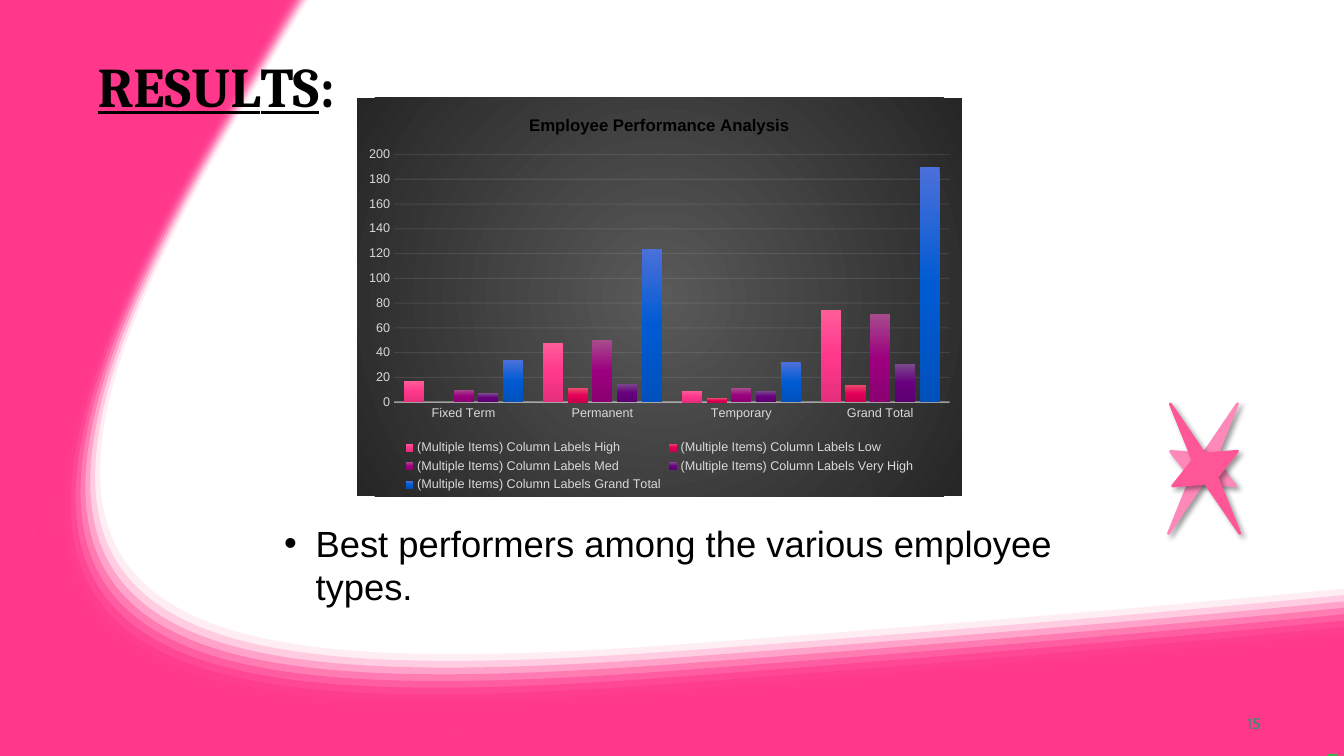
from pptx import Presentation
from pptx.chart.data import CategoryChartData
from pptx.dml.color import RGBColor
from pptx.enum.chart import XL_CHART_TYPE, XL_LEGEND_POSITION, XL_TICK_MARK
from pptx.enum.shapes import MSO_SHAPE
from pptx.enum.text import MSO_ANCHOR
from pptx.oxml import parse_xml
from pptx.oxml.ns import nsdecls, qn
from pptx.util import Pt

COLUMN = XL_CHART_TYPE.COLUMN_CLUSTERED
BOTTOM = XL_LEGEND_POSITION.BOTTOM
NO_TICK = XL_TICK_MARK.NONE
STAR, RECT = MSO_SHAPE.STAR_4_POINT, MSO_SHAPE.RECTANGLE
MIDDLE, TOP = MSO_ANCHOR.MIDDLE, MSO_ANCHOR.TOP

PINK = RGBColor(0xFF, 0x38, 0x8C)
PALE = RGBColor(0xFF, 0x88, 0xBA)
ROSE = RGBColor(0xFF, 0x56, 0x98)
GREEN = RGBColor(0x42, 0xAF, 0x51)
TEAL = RGBColor(0x2D, 0x93, 0x6B)
BLACK = RGBColor(0, 0, 0)
SILVER = RGBColor(0xD9, 0xD9, 0xD9)
LIGHT = RGBColor(0xF2, 0xF2, 0xF2)
SMOKE = RGBColor(0x59, 0x59, 0x59)
COAL = RGBColor(0x26, 0x26, 0x26)

WIDE, HIGH = 960, 540
BANDS = 11

# Curves in points: three joined cubics each, from right edge to top edge
OUTER = [(960, 472.5), (960, 472.5), (774, 491), (471.5, 514), (76.5, 543.5),
         (-116.5, 512.5), (141, 83), (173, 29.5), (191, 0), (191, 0)]
FAR = [(960, 420.5), (958, 420.5), (781, 438.5), (497, 459.5), (116, 488),
       (-52.5, 455), (173, 78.5), (202.5, 29), (219.5, 0.5), (220.5, 0)]
NEAR = [(960, 466), (935, 469), (754.5, 486), (478, 507), (88, 536.5),
        (-102, 506), (152, 82), (178.5, 37.5), (195, 8), (199.5, 0)]

TYPES = ["Fixed Term", "Permanent", "Temporary", "Grand Total"]
SERIES = [
    ("High", (17, 48, 9, 74), ("FF5C99", "FF388C", "E52F7C")),
    ("Low", (None, 11, 3, 14), ("EA4B6F", "E40059", "CB004F")),
    ("Med", (10, 50, 11, 71), ("A74B8D", "9C007F", "8B0071")),
    ("Very High", (7, 15, 9, 31), ("7A4B8D", "68007F", "5C0071")),
    ("Grand Total", (34, 124, 32, 190), ("4B70DA", "005BD3", "0051BC")),
]


def step(tag, dots):
    """One drawing step of an outline."""
    marks = "".join(f'<a:pt x="{Pt(x)}" y="{Pt(y)}"/>' for x, y in dots)
    return parse_xml(f'<a:{tag} {nsdecls("a")}>{marks}</a:{tag}>')


def bends(curve):
    return [step("cubicBezTo", curve[i:i + 3]) for i in range(1, len(curve), 3)]


def fade(node, share):
    for color in node.iter(qn("a:srgbClr")):
        color.append(parse_xml(f'<a:alpha {nsdecls("a")} val="{share * 1000}"/>'))


def blend(colors, way):
    """Gradient fill with evenly spaced stops."""
    gap = 100000 // (len(colors) - 1)
    stops = "".join(f'<a:gs pos="{i * gap}"><a:srgbClr val="{c}"/></a:gs>'
                    for i, c in enumerate(colors))
    return parse_xml(f'<a:gradFill {nsdecls("a")} rotWithShape="1">'
                     f'<a:gsLst>{stops}</a:gsLst>{way}</a:gradFill>')


def paint(shape, color):
    shape.shadow.inherit = False
    shape.fill.solid()
    shape.fill.fore_color.rgb = color
    shape.line.fill.background()


def add_area(slide, curve, rest, share=100):
    """Slide-sized freeform: a curved edge, closed by the other steps."""
    pen = slide.shapes.build_freeform(0, 0, scale=1.0)
    pen.add_line_segments([(Pt(WIDE), 0), (Pt(WIDE), Pt(HIGH)), (0, Pt(HIGH))])
    area = pen.convert_to_shape()
    trail = area.element.xpath(".//a:path")[0]
    for old in list(trail):
        trail.remove(old)
    for part in [step("moveTo", curve[:1]), *bends(curve), *rest, step("close", [])]:
        trail.append(part)
    paint(area, PINK)
    if share < 100:
        fade(area.element, share)


def add_star(slide, left, turn, color):
    star = slide.shapes.add_shape(STAR, Pt(left), Pt(282.2), Pt(52.6), Pt(105.1))
    star.adjustments[0] = 0.125
    star.rotation = turn
    paint(star, color)
    star.line.color.rgb = color
    star.line.width = Pt(2)
    star.element.spPr.find(qn("a:effectLst")).append(parse_xml(
        f'<a:outerShdw {nsdecls("a")} blurRad="{Pt(4)}" dist="{Pt(3)}" dir="2700000" '
        'rotWithShape="0"><a:srgbClr val="000000"><a:alpha val="40000"/>'
        '</a:srgbClr></a:outerShdw>'))


def set_font(font, size, color, name="Arial", bold=False):
    font.size, font.name, font.bold = Pt(size), name, bold
    font.color.rgb = color


def add_box(slide, left, top, width, height, anchor=TOP, inset=None):
    box = slide.shapes.add_textbox(Pt(left), Pt(top), Pt(width), Pt(height))
    frame = box.text_frame
    frame.word_wrap = True
    frame.vertical_anchor = anchor
    if inset is not None:
        frame.margin_left = frame.margin_right = Pt(inset)
        frame.margin_top = frame.margin_bottom = Pt(inset)
    return frame.paragraphs[0]


def add_run(para, text, size, color, name="Arial", bold=False, under=None, space=0):
    run = para.add_run()
    run.text = text
    set_font(run.font, size, color, name, bold)
    run.font.underline = under
    if space:
        run.font._element.set("spc", str(round(space * 100)))


def add_bars(slide):
    data = CategoryChartData()
    data.categories = TYPES
    for name, vals, _ in SERIES:
        data.add_series(f"(Multiple Items) Column Labels {name}", vals)
    chart = slide.shapes.add_chart(COLUMN, Pt(255), Pt(70), Pt(432), Pt(284.4), data).chart
    set_font(chart.font, 10, BLACK)
    # Title and legend
    chart.has_title = True
    para = chart.chart_title.text_frame.paragraphs[0]
    add_run(para, "Employee Performance Analysis", 12, BLACK, bold=True)
    chart.has_legend = True
    chart.legend.position = BOTTOM
    chart.legend.include_in_layout = False
    set_font(chart.legend.font, 9, SILVER)
    # Axes
    base, side = chart.category_axis, chart.value_axis
    for axis in (base, side):
        axis.major_tick_mark = axis.minor_tick_mark = NO_TICK
        set_font(axis.tick_labels.font, 9, SILVER)
    base.format.line.color.rgb = LIGHT
    base.format.line.width = Pt(1)
    side.format.line.fill.background()
    side.minimum_scale, side.maximum_scale, side.major_unit = 0, 200, 20
    grid = side.major_gridlines.format.line
    grid.color.rgb = LIGHT
    grid.width = Pt(0.75)
    fade(chart.element.xpath(".//c:catAx/c:spPr")[0], 54)
    fade(chart.element.xpath(".//c:majorGridlines")[0], 10)
    # Bars and backdrop
    plot = chart.plots[0]
    plot.gap_width, plot.overlap, plot.vary_by_categories = 100, -23, False
    for ser, (_, _, colors) in zip(chart.element.iter(qn("c:ser")), SERIES):
        ser.get_or_add_spPr().append(blend(colors, '<a:lin ang="5400000" scaled="0"/>'))
    back = parse_xml(f'<c:spPr {nsdecls("c", "a")}/>')
    back.append(blend((SMOKE, COAL), '<a:path path="circle"><a:fillToRect l="50000" '
                      't="50000" r="50000" b="50000"/></a:path>'))
    back.append(parse_xml(f'<a:ln {nsdecls("a")}><a:noFill/></a:ln>'))
    chart.element.find(qn("c:txPr")).addprevious(back)


def main():
    deck = Presentation()
    deck.slide_width, deck.slide_height = Pt(WIDE), Pt(HIGH)
    slide = deck.slides.add_slide(deck.slide_layouts[6])

    # Pink frame with its soft inner edge
    edge = [step("lnTo", [spot]) for spot in ((0, 0), (0, HIGH), (WIDE, HIGH))]
    add_area(slide, OUTER, edge)
    for i in range(BANDS):
        t = i / (BANDS - 1)
        curve = [(a + (c - a) * t, b + (d - b) * t)
                 for (a, b), (c, d) in zip(FAR, NEAR)]
        back = OUTER[::-1]
        add_area(slide, curve, [step("lnTo", back[:1]), *bends(back)],
                 round(100 * (i + 1) / BANDS))
    chip = slide.shapes.add_shape(RECT, Pt(948.5), Pt(538.5), Pt(7), Pt(1.5))
    paint(chip, GREEN)

    # Heading
    head = add_box(slide, 69.8, 14, 260, 93, MIDDLE, 0)
    for text, space in (("R", 0), ("E", -0.4), ("S", 0.1), ("U", -0.3), ("L", -4), ("TS", 0)):
        add_run(head, text, 40, BLACK, "Cambria", True, True, space)
    add_run(head, ":", 40, BLACK, "Cambria", True)

    # Page number
    page = add_box(slide, 890.6, 510, 18, 14, inset=0)
    page.space_before = Pt(0.6)
    add_run(page, "15", 11, TEAL, "Cabin", space=0.1)

    # Stars, chart and note
    add_star(slide, 833, 28, PALE)
    add_star(slide, 834.5, 331.8, ROSE)
    add_bars(slide)
    note = add_box(slide, 195.8, 368.6, 597, 127)
    props = note._p.get_or_add_pPr()
    props.set("marL", str(Pt(22.5)))
    props.set("indent", str(Pt(-22.5)))
    props.append(parse_xml(f'<a:buFont {nsdecls("a")} typeface="Arial"/>'))
    props.append(parse_xml(f'<a:buChar {nsdecls("a")} char="•"/>'))
    add_run(note, "Best performers among the various employee types.", 26, BLACK)

    deck.save("out.pptx")


if __name__ == "__main__":
    main()
